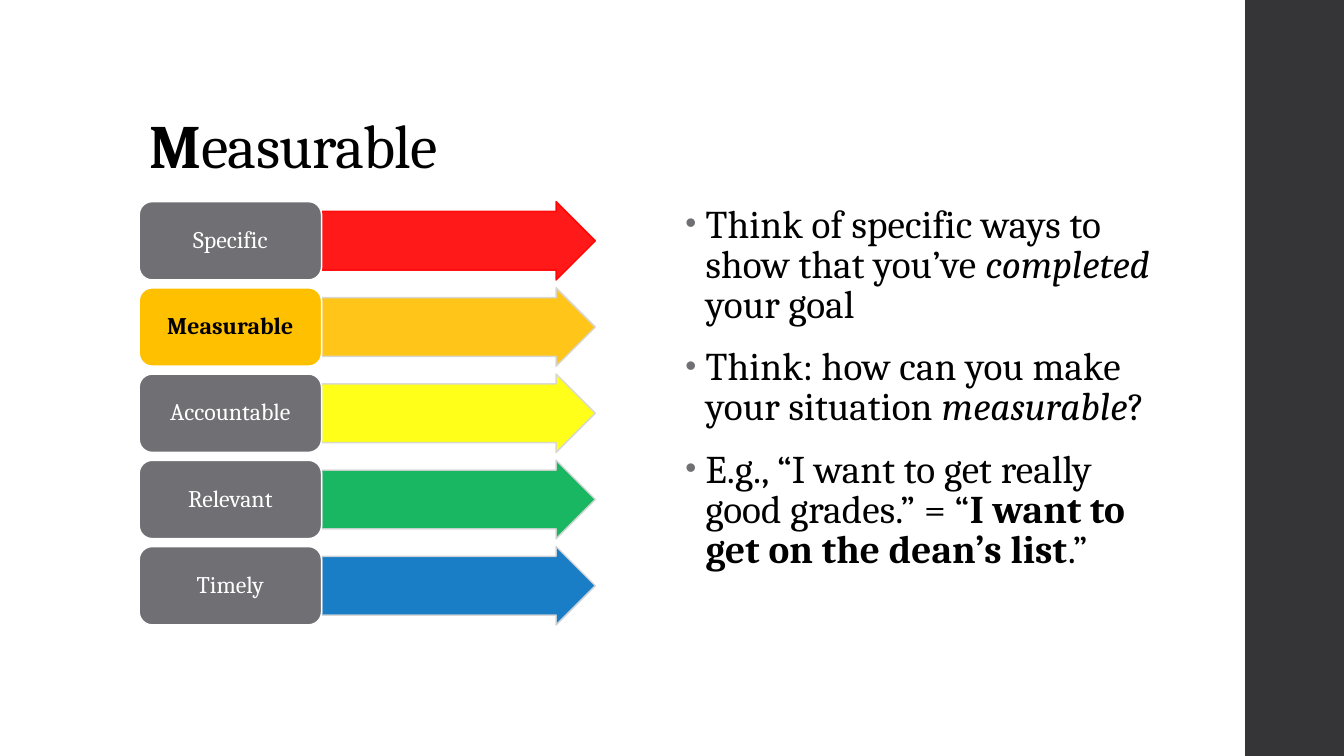
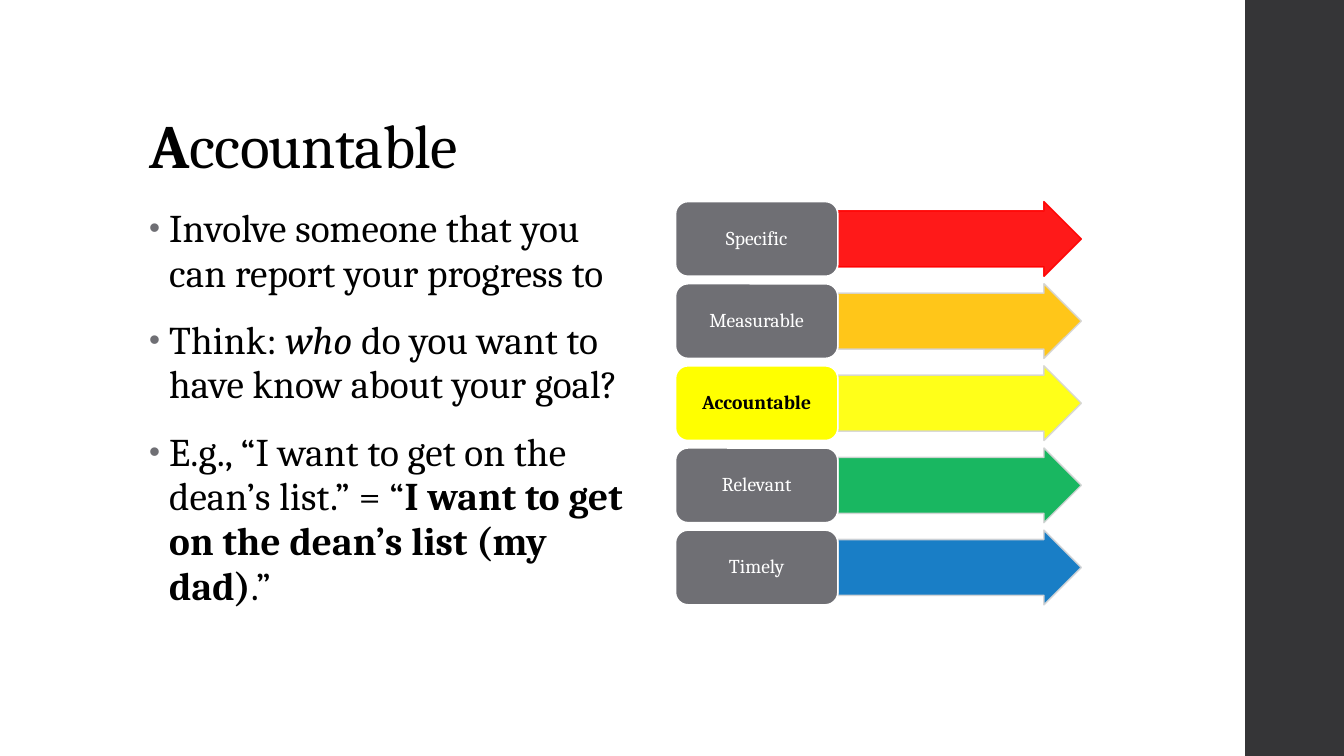
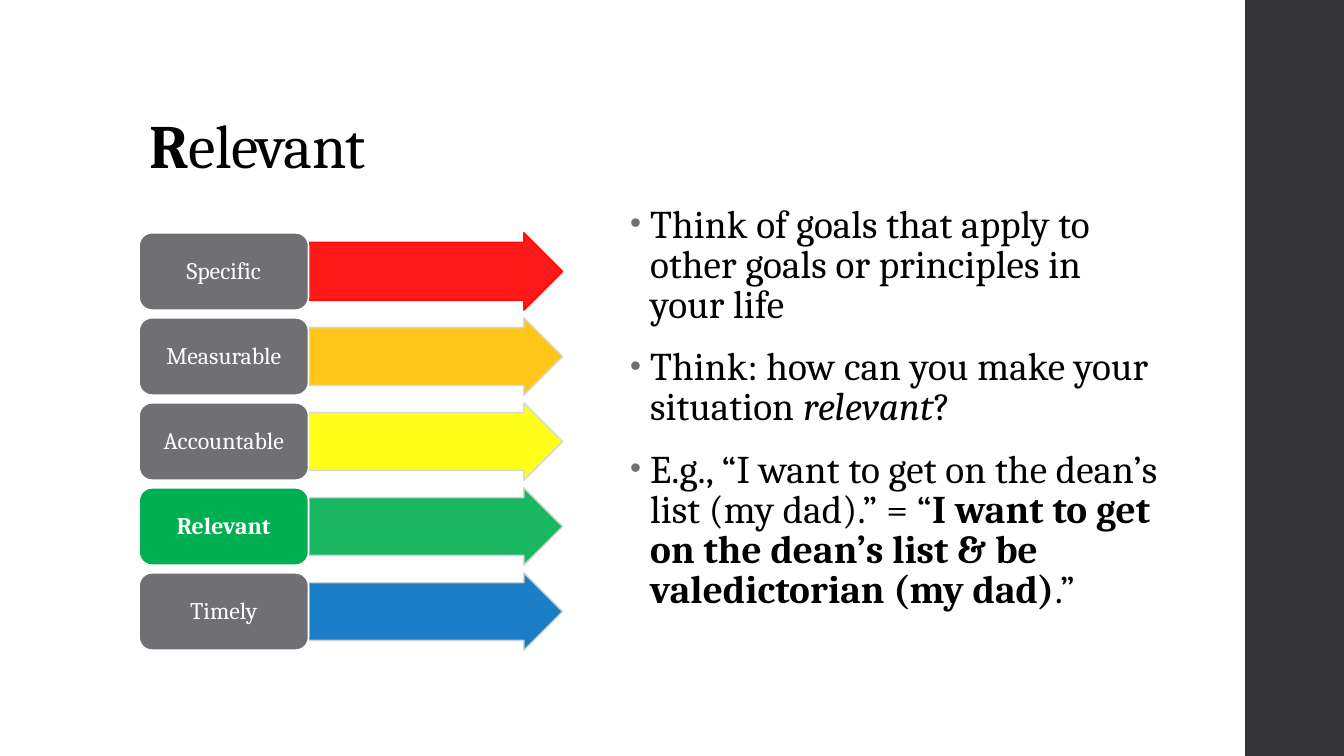
from lxml import etree
from pptx import Presentation
from pptx import util as u
from pptx.dml import color
from pptx.enum import shapes, text
from pptx.oxml import ns

FONT = "Cambria"
BLACK, WHITE, GREY, SILVER, CHARCOAL = "000000", "FFFFFF", "6F6F74", "D5D5D6", "353537"
STEPS = [
    ("Specific", "FF0000", "FF0000"),
    ("Measurable", "FFC000", SILVER),
    ("Accountable", "FFFF00", SILVER),
    ("Relevant", "00B050", SILVER),
    ("Timely", "0070C0", SILVER),
]


def rgb(value):
    return color.RGBColor.from_string(value)


def add_child(parent, tag, **attributes):
    return etree.SubElement(parent, ns.qn(tag), attributes)


class Builder:
    def __init__(self):
        self.deck = Presentation()
        self.deck.slide_width = u.Inches(13.33)
        self.deck.slide_height = u.Inches(7.5)
        self.slide = None

    def start(self, word):
        self.slide = self.deck.slides.add_slide(self.deck.slide_layouts[5])
        self.shape(shapes.MSO_SHAPE.RECTANGLE, 12.35, 0, 0.98, 7.5, CHARCOAL)
        self.title(word)

    def place(self, box, left, top, width, height):
        box.left, box.top = u.Inches(left), u.Inches(top)
        box.width, box.height = u.Inches(width), u.Inches(height)

    def font(self, para, size, value):
        para.font.name = FONT
        para.font.size = u.Pt(size)
        para.font.color.rgb = rgb(value)

    def spans(self, para, parts, spacing):
        for words, style in parts:
            span = para.add_run()
            span.text = words
            if style == "bold":
                span.font.bold = True
            elif style == "italic":
                span.font.italic = True
            span._r.get_or_add_rPr().set("spc", str(spacing))

    def title(self, word):
        box = self.slide.shapes.title
        self.place(box, 1.38, 0.4, 10.6, 1.45)
        frame = box.text_frame
        frame.auto_size = text.MSO_AUTO_SIZE.NONE
        frame.vertical_anchor = text.MSO_ANCHOR.BOTTOM
        para = frame.paragraphs[0]
        para.alignment = text.PP_ALIGN.LEFT
        para.line_spacing = 0.9
        self.font(para, 44, BLACK)
        self.spans(para, [(word[0], "bold"), (word[1:], "plain")], -50)

    def shape(self, kind, left, top, width, height, fill, line=None, alpha=None):
        box = self.slide.shapes.add_shape(kind, 0, 0, 0, 0)
        self.place(box, left, top, width, height)
        box.shadow.inherit = False
        box.fill.solid()
        box.fill.fore_color.rgb = rgb(fill)
        if line:
            box.line.color.rgb = rgb(line)
            box.line.width = u.Pt(1.1)
        else:
            box.line.fill.background()
        if alpha:
            for paint in box._element.spPr.iter(ns.qn("a:srgbClr")):
                add_child(paint, "a:alpha", val=str(alpha * 1000))
        return box

    def label(self, words, left, top, width, height, size, fill, value, bold):
        box = self.shape(shapes.MSO_SHAPE.ROUNDED_RECTANGLE,
                         left, top, width, height, fill, WHITE)
        frame = box.text_frame
        frame.word_wrap = True
        frame.margin_left = frame.margin_right = u.Inches(0.1)
        frame.margin_top = frame.margin_bottom = u.Inches(0.07)
        frame.vertical_anchor = text.MSO_ANCHOR.MIDDLE
        para = frame.paragraphs[0]
        para.text = words
        para.alignment = text.PP_ALIGN.CENTER
        para.line_spacing = 0.9
        self.font(para, size, value)
        para.font.bold = bold

    def steps(self, active, active_text, left, top, label_width, total, size):
        height = total / (1.1 * len(STEPS) - 0.1)
        for index, (name, fill, line) in enumerate(STEPS):
            row = top + index * 1.1 * height
            chosen = name == active
            arrow = self.shape(shapes.MSO_SHAPE.RIGHT_ARROW, left + label_width, row,
                               1.5 * label_width, height, fill, line, 90)
            arrow.adjustments[0] = 0.75
            arrow.adjustments[1] = 0.5
            self.label(name, left, row, label_width, height, size,
                       fill if chosen else GREY,
                       active_text if chosen else WHITE, chosen)

    def bullets(self, items, left, width, height, line_spacing):
        box = self.slide.shapes.add_textbox(0, 0, 0, 0)
        self.place(box, left, 2, width, height)
        frame = box.text_frame
        frame.word_wrap = True
        for index, parts in enumerate(items):
            para = frame.add_paragraph() if index else frame.paragraphs[0]
            para.line_spacing = line_spacing
            para.space_before, para.space_after = u.Pt(14), u.Pt(2)
            props = para._p.get_or_add_pPr()
            props.set("marL", str(u.Inches(0.2)))
            props.set("indent", str(-u.Inches(0.2)))
            add_child(add_child(props, "a:buClr"), "a:srgbClr", val=GREY)
            add_child(props, "a:buSzPct", val="80000")
            add_child(props, "a:buFont", typeface="Arial")
            add_child(props, "a:buChar", char="•")
            self.font(para, 28, BLACK)
            self.spans(para, parts, 10)


builder = Builder()

builder.start("Measurable")
builder.bullets([
    [("Think of specific ways to show that you’ve ", "plain"),
     ("completed", "italic"), (" your goal", "plain")],
    [("Think: how can you make your situation ", "plain"),
     ("measurable", "italic"), ("?", "plain")],
    [("E.g., “I want to get really good grades.” = “", "plain"),
     ("I want to get on the dean’s list", "bold"), (".”", "plain")],
], 6.7, 4.9, 4.76, 0.85)
builder.steps("Measurable", BLACK, 1.38, 2, 1.81, 4.2, 17)

builder.start("Accountable")
builder.bullets([
    [("Involve someone that you can report your progress to", "plain")],
    [("Think: ", "plain"), ("who ", "italic"),
     ("do you want to have know about your goal?", "plain")],
    [("E.g., “I want to get on the dean’s list.” = “", "plain"),
     ("I want to get on the dean’s list (my dad)", "bold"), (".”", "plain")],
], 1.38, 4.9, 5.09, 0.95)
builder.steps("Accountable", BLACK, 6.7, 2, 1.61, 4, 14)

builder.start("Relevant")
builder.bullets([
    [("Think of goals that apply to other goals or principles in your life", "plain")],
    [("Think: how can you make your situation ", "plain"),
     ("relevant", "italic"), ("?", "plain")],
    [("E.g., “I want to get on the dean’s list (my dad).” = “", "plain"),
     ("I want to get on the dean’s list & be valedictorian (my dad)", "bold"),
     (".”", "plain")],
], 6.15, 5.45, 4.76, 0.85)
builder.steps("Relevant", WHITE, 1.38, 2.31, 1.68, 4.14, 17)

builder.deck.save("out.pptx")
